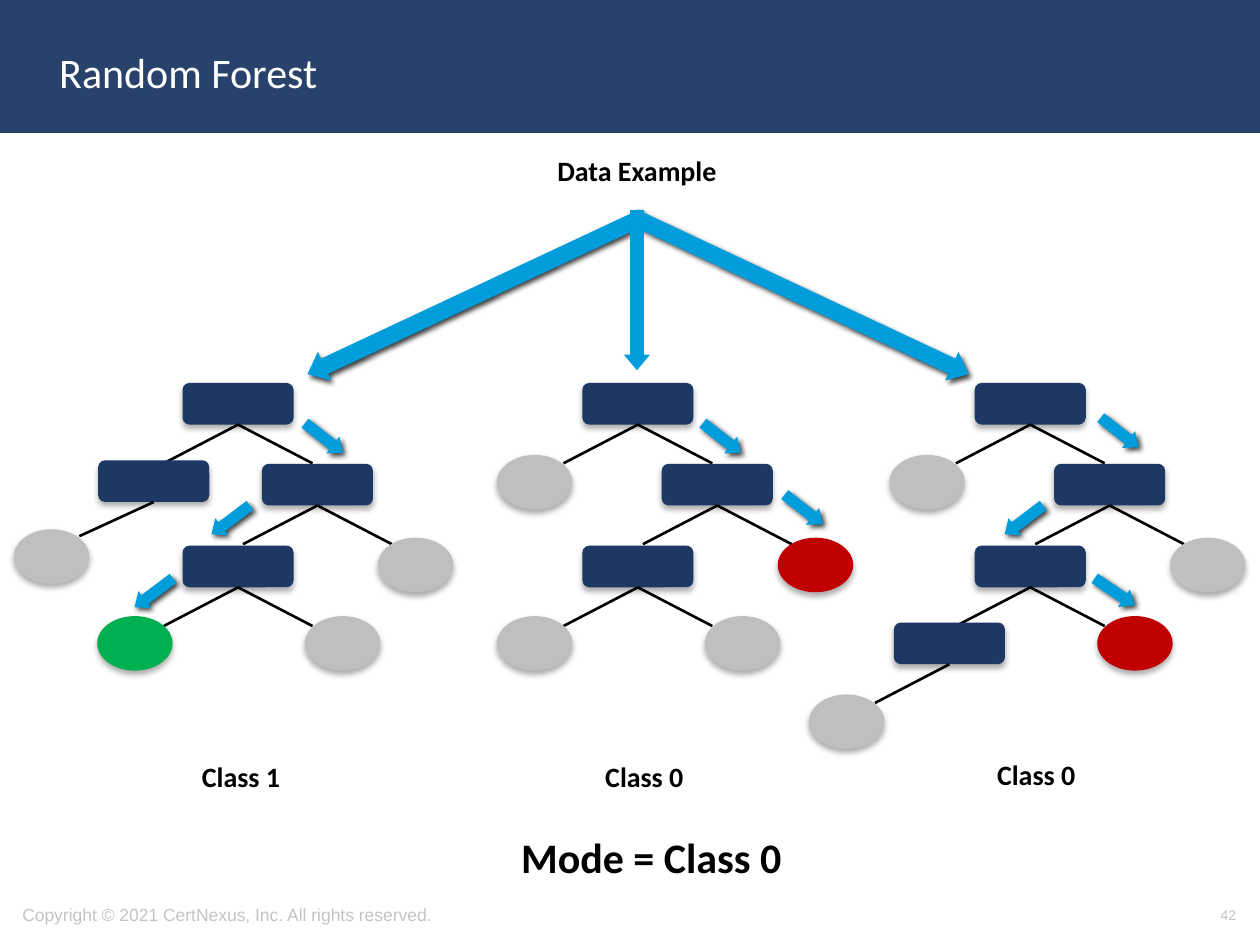
"""Build the Random Forest slide: three voting decision trees and their mode."""
from dataclasses import dataclass, field

from lxml import etree
from pptx import Presentation, util as u
from pptx.dml.color import RGBColor
from pptx.enum import shapes, text
from pptx.oxml import ns

NAVY, BLUE, GREY, GREEN, RED = "1C3863", "009DDC", "BFBFBF", "00B050", "C00000"
BAND, WHITE, BLACK, PALE = "28426C", "FFFFFF", "000000", "C4C4C4"
KIND = shapes.MSO_SHAPE
LEFT, CENTER, RIGHT = text.PP_ALIGN.LEFT, text.PP_ALIGN.CENTER, text.PP_ALIGN.RIGHT
BOX_SIZE, LEAF_SIZE = (2.24, 0.84), (1.52, 1.1)
SPLIT, DROP = 1.5, 0.78


@dataclass
class Shadow:
    opacity: int
    blur: float
    distance: float
    angle: int


@dataclass
class Arrow:
    x: float
    y: float
    angle: float
    length: float = 0.97
    thickness: float = 0.43


@dataclass
class Leaf:
    x: float
    y: float
    fill: str = GREY


@dataclass
class Branch:
    x: float
    y: float
    leaf: Leaf
    drop: float = DROP


@dataclass
class Tree:
    x: float
    verdict: str
    verdict_x: float
    verdict_y: float
    leaves: list[Leaf]
    arrows: list[Arrow]
    branches: list[Branch] = field(default_factory=list)


NODE_SHADOW = Shadow(32, 3.5, 2.2, 90)
ARROW_SHADOW = Shadow(75, 3, 2, 45)
BOXES = [(0, 8.14), (1.6, 9.77), (0, 11.42)]
UPPER_LEFT, MIDDLE_RIGHT = (-2.08, 9.72), (3.58, 11.39)
LOWER_LEFT, LOWER_RIGHT = (-2.08, 12.97), (2.11, 12.97)

TREES = [
    Tree(4.8, "Class 1", 4.86, 15.66,
         [Leaf(*LOWER_LEFT, GREEN), Leaf(*MIDDLE_RIGHT), Leaf(*LOWER_RIGHT)],
         [Arrow(1.73, 8.83, 38), Arrow(-0.15, 10.48, 143), Arrow(-1.7, 11.95, 143)],
         [Branch(-1.7, 9.7, Leaf(-3.76, 11.22), 0.69)]),
    Tree(12.86, "Class 0", 12.99, 15.66,
         [Leaf(*UPPER_LEFT), Leaf(*MIDDLE_RIGHT, RED), Leaf(*LOWER_LEFT), Leaf(*LOWER_RIGHT)],
         [Arrow(1.69, 8.83, 38), Arrow(3.34, 10.27, 38)]),
    Tree(20.77, "Class 0", 20.89, 15.61,
         [Leaf(*UPPER_LEFT), Leaf(*MIDDLE_RIGHT), Leaf(*LOWER_RIGHT, RED)],
         [Arrow(1.8, 8.72, 38), Arrow(-0.13, 10.48, 143), Arrow(1.7, 11.93, 34)],
         [Branch(-1.63, 12.97, Leaf(-3.7, 14.55))]),
]
FEEDS = [
    (Arrow(9.58, 5.96, 154.9, 7.47, 0.64), ARROW_SHADOW),
    (Arrow(16.15, 5.96, 25.1, 7.47, 0.64), ARROW_SHADOW),
    (Arrow(12.84, 5.85, 90, 3.23, 0.53), None),
]


def color(value: str) -> RGBColor:
    return RGBColor.from_string(value)


def add_shadow(shape, shadow: Shadow) -> None:
    effects = shape.element.spPr.find(ns.qn("a:effectLst"))
    outer = etree.SubElement(
        effects, ns.qn("a:outerShdw"), blurRad=str(u.Pt(shadow.blur)),
        dist=str(u.Pt(shadow.distance)), dir=str(shadow.angle * 60000),
        algn="ctr", rotWithShape="0")
    tint = etree.SubElement(outer, ns.qn("a:srgbClr"), val=BLACK)
    etree.SubElement(tint, ns.qn("a:alpha"), val=str(shadow.opacity * 1000))


def add_solid(page, kind, x: float, y: float, size: tuple[float, float],
              fill: str, shadow: Shadow | None = None):
    width, height = size
    shape = page.shapes.add_shape(kind, u.Cm(x - width / 2), u.Cm(y - height / 2),
                                  u.Cm(width), u.Cm(height))
    shape.fill.solid()
    shape.fill.fore_color.rgb = color(fill)
    shape.line.fill.background()
    shape.shadow.inherit = False
    if shadow:
        add_shadow(shape, shadow)
    return shape


def add_arrow(page, arrow: Arrow, shadow: Shadow | None, shift: float = 0) -> None:
    shape = add_solid(page, KIND.RIGHT_ARROW, arrow.x + shift, arrow.y,
                      (arrow.length, arrow.thickness), BLUE, shadow)
    shape.adjustments[0], shape.adjustments[1] = 0.526, 0.596
    shape.rotation = arrow.angle


def add_box(page, x: float, y: float):
    return add_solid(page, KIND.ROUNDED_RECTANGLE, x, y, BOX_SIZE, NAVY, NODE_SHADOW)


def add_leaf(page, leaf: Leaf, shift: float) -> None:
    add_solid(page, KIND.OVAL, leaf.x + shift, leaf.y, LEAF_SIZE, leaf.fill, NODE_SHADOW)


def add_edge(page, box, run: float, drop: float = DROP) -> None:
    x, y = box.left + box.width // 2, box.top + box.height
    edge = page.shapes.add_connector(shapes.MSO_CONNECTOR.STRAIGHT, x, y,
                                     x + u.Cm(run), y + u.Cm(drop))
    edge.begin_connect(box, 2)
    edge.line.color.rgb = color(BLACK)
    edge.line.width = u.Pt(1.5)
    etree.SubElement(edge.element.spPr, ns.qn("a:effectLst"))


def add_tree(page, tree: Tree) -> None:
    boxes = [add_box(page, tree.x + x, y) for x, y in BOXES]
    for box in boxes:
        for run in (-SPLIT, SPLIT):
            add_edge(page, box, run)
    for leaf in tree.leaves:
        add_leaf(page, leaf, tree.x)
    for branch in tree.branches:
        box = add_box(page, tree.x + branch.x, branch.y)
        add_leaf(page, branch.leaf, tree.x)
        add_edge(page, box, -SPLIT, branch.drop)
    for arrow in tree.arrows:
        add_arrow(page, arrow, ARROW_SHADOW, tree.x)
    add_label(page, tree.verdict, tree.verdict_x, tree.verdict_y)


def write(shape, words: str, size: int, fill: str, align=CENTER,
          font: str = "Calibri", bold: bool = False) -> None:
    frame = shape.text_frame
    frame.text = words
    frame.word_wrap = True
    frame.auto_size = text.MSO_AUTO_SIZE.NONE
    frame.vertical_anchor = text.MSO_ANCHOR.MIDDLE
    para = frame.paragraphs[0]
    para.alignment = align
    for span in para.runs:
        span.font.name, span.font.size, span.font.bold = font, u.Pt(size), bold
        span.font.color.rgb = color(fill)


def add_label(page, words: str, x: float, y: float, size: int = 16,
              width: float = 4.14, height: float = 0.94) -> None:
    label = page.shapes.add_textbox(u.Cm(x - width / 2), u.Cm(y - height / 2),
                                    u.Cm(width), u.Cm(height))
    write(label, words, size, BLACK, bold=True)


def add_footer(page, words: str, x: float, width: float, size: int, align) -> None:
    footer = page.shapes.add_textbox(u.Cm(x), u.Cm(17.93), u.Cm(width), u.Cm(1.02))
    write(footer, words, size, PALE, align, "Arial")


def add_heading(page, words: str) -> None:
    title = page.shapes.title
    title.left, title.top = u.Cm(0.94), u.Cm(0.28)
    title.width, title.height = u.Cm(21.89), u.Cm(2.34)
    write(title, words, 24, WHITE, LEFT)
    band = add_solid(page, KIND.RECTANGLE, 12.7, 1.32, (25.4, 2.64), BAND)
    band.line.color.rgb = color(BAND)
    band.line.width = u.Pt(2)
    title.element.addprevious(band.element)


def main() -> None:
    deck = Presentation()
    deck.slide_width, deck.slide_height = u.Cm(25.4), u.Cm(19.05)
    page = deck.slides.add_slide(deck.slide_layouts[5])
    add_heading(page, "Random Forest")
    add_footer(page, "Copyright © 2021 CertNexus, Inc. All rights reserved.", 0.2, 13.39, 10, LEFT)
    add_footer(page, "42", 19.25, 5.92, 8, RIGHT)
    for tree in TREES:
        add_tree(page, tree)
    for arrow, shadow in FEEDS:
        add_arrow(page, arrow, shadow)
    add_label(page, "Data Example", 12.84, 3.44)
    add_label(page, "Mode = Class 0", 13.13, 17.27, 24, 5.79, 1.27)
    deck.save("out.pptx")


if __name__ == "__main__":
    main()
